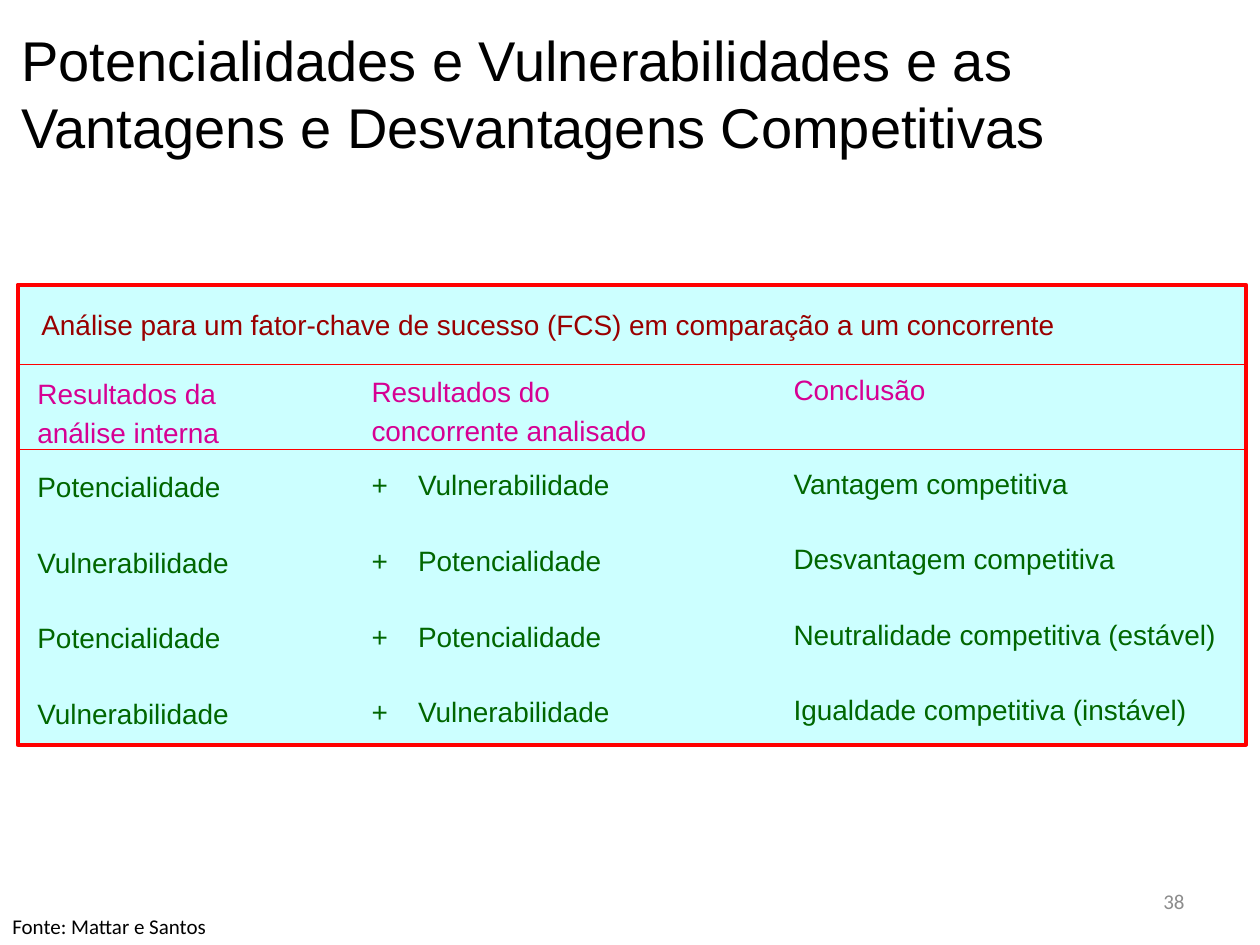
from lxml import etree
from pptx import Presentation, util as u
from pptx.dml.color import RGBColor
from pptx.enum import shapes, text
from pptx.oxml.ns import qn

WIDTH, HEIGHT = 10, 7.5
BODY_SPACING = 1.15
ROW_GAP = 21.15  # one body line, in points
PLUS_INDENT = 0.37

TITLE = ["Potencialidades e Vulnerabilidades e as", "Vantagens e Desvantagens Competitivas"]
HEADING = "Análise para um fator-chave de sucesso (FCS) em comparação a um concorrente"
# left and top offset as shares of the panel, width share, header lines, entries
COLUMNS = [
    (0.006, 0.008, 0.25, ["Resultados da", "análise interna"],
     ["Potencialidade", "Vulnerabilidade", "Potencialidade", "Vulnerabilidade"]),
    (0.278, 0.004, 0.33, ["Resultados do", "concorrente analisado"],
     ["+\tVulnerabilidade", "+\tPotencialidade", "+\tPotencialidade", "+\tVulnerabilidade"]),
    (0.6215, 0, 0.385, ["Conclusão"],
     ["Vantagem competitiva", "Desvantagem competitiva",
      "Neutralidade competitiva (estável)", "Igualdade competitiva (instável)"]),
]


def color(value):
    return RGBColor.from_string(value)


def place(shape, box):
    shape.left, shape.top, shape.width, shape.height = map(u.Inches, box)


def write(shape, lines, size, value, font="Arial", align=text.PP_ALIGN.LEFT,
          spacing=1.0, gap=0, anchor=text.MSO_ANCHOR.TOP):
    frame = shape.text_frame
    frame.word_wrap = True
    frame.auto_size = text.MSO_AUTO_SIZE.NONE
    frame.vertical_anchor = anchor
    frame.text = "\n".join(lines)
    for paragraph in frame.paragraphs:
        paragraph.alignment = align
        paragraph.line_spacing = spacing
        paragraph.space_after = u.Pt(gap)
        paragraph.font.size = u.Pt(size)
        paragraph.font.name = font
        paragraph.font.color.rgb = color(value)
        if "\t" in paragraph.text:  # hanging indent after the plus sign
            properties = paragraph._p.get_or_add_pPr()
            properties.set("marL", str(u.Inches(PLUS_INDENT)))
            properties.set("indent", str(-u.Inches(PLUS_INDENT)))


def add_text(slide, box, lines, size, value, **options):
    write(slide.shapes.add_textbox(*map(u.Inches, box)), lines, size, value, **options)


def add_rule(slide, left, top, width):
    rule = slide.shapes.add_connector(
        shapes.MSO_CONNECTOR.STRAIGHT,
        *map(u.Inches, (left, top, left + width, top)))
    rule.line.color.rgb = color("FF0000")
    rule.line.width = u.Pt(0.75)
    etree.SubElement(rule._element.spPr, qn("a:effectLst"))


def add_title(slide, box):
    title = slide.shapes.title
    place(title, box)
    write(title, TITLE, 32, "000000")


def add_panel(slide, box):
    left, top, width, height = box
    header_top, body_top = top + 0.173 * height, top + 0.359 * height

    # Frame
    frame = slide.shapes.add_shape(shapes.MSO_SHAPE.RECTANGLE, *map(u.Inches, box))
    frame.shadow.inherit = False
    frame.fill.solid()
    frame.fill.fore_color.rgb = color("CCFFFF")
    frame.line.color.rgb = color("FF0000")
    frame.line.width = u.Pt(2.25)

    # Heading and rules
    add_text(slide, (left + 0.09, top + 0.09, 0.95 * width, 0.39), [HEADING],
             16, "990000", spacing=BODY_SPACING)
    for rule_top in (header_top, body_top):
        add_rule(slide, left, rule_top, width)

    # Columns
    for share, drop, span, header, entries in COLUMNS:
        column_left, offset = left + share * width, drop * height
        add_text(slide, (column_left, header_top - 0.02 + offset, span * width, 0.69),
                 header, 16, "D60093", spacing=BODY_SPACING)
        add_text(slide, (column_left, body_top + 0.04 + offset, span * width, 2.15),
                 entries, 16, "006600", spacing=BODY_SPACING, gap=ROW_GAP)


def add_footer(slide, box):
    left, top, width, height = box
    add_text(slide, (left, top + 0.25, 0.31 * width, 0.3), ["Fonte: Mattar e Santos"],
             12, "000000", font="Calibri")
    add_text(slide, (left + 0.717 * width, top, 0.233 * width, 0.4), ["38"],
             12, "8C8C8C", font="Calibri", align=text.PP_ALIGN.RIGHT,
             anchor=text.MSO_ANCHOR.MIDDLE)


def main():
    presentation = Presentation()
    presentation.slide_width, presentation.slide_height = u.Inches(WIDTH), u.Inches(HEIGHT)
    slide = presentation.slides.add_slide(presentation.slide_layouts.get_by_name("Title Only"))
    add_title(slide, (0.07, 0.15, 9.81, 1.18))
    add_panel(slide, (0.14, 2.26, 9.75, 3.65))
    add_footer(slide, (0, 6.95, WIDTH, 0.55))
    presentation.save("out.pptx")


if __name__ == "__main__":
    main()
